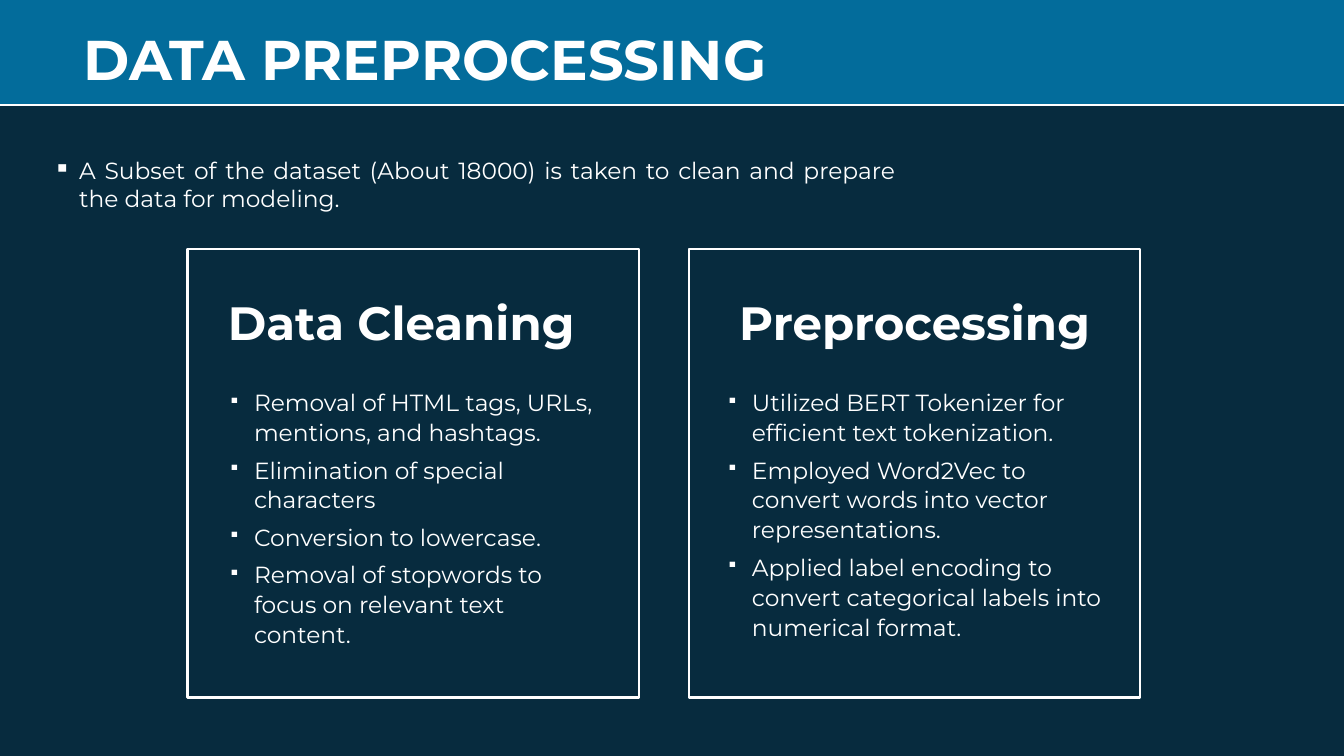
from lxml import etree
from pptx import Presentation, util as u
from pptx.dml.color import RGBColor
from pptx.enum import shapes, text
from pptx.oxml.ns import qn

PX = 9144  # EMU per px, 100 px to the inch
FONT = "Montserrat"
HUES = {"band": "036C9B", "body": "072B3E", "ink": "FFFFFF"}
JUST = text.PP_ALIGN.JUSTIFY
LEFT = text.PP_ALIGN.LEFT

INTRO = ("A Subset of the dataset (About 18000) is taken to clean and prepare "
         "the data for modeling.")
# frame left, head left, head, list left, list width, items
CARDS = [
    (279, 339, "Data Cleaning", 340, 559, [
        "Removal of HTML tags, URLs, mentions, and hashtags.",
        "Elimination of special characters",
        "Conversion to lowercase.",
        "Removal of stopwords to focus on relevant text content."]),
    (1025, 1100, "Preprocessing", 1081, 565, [
        "Utilized BERT Tokenizer for efficient text tokenization.",
        "Employed Word2Vec to convert words into vector representations.",
        "Applied label encoding to convert categorical labels into "
        "numerical format."]),
]


def hue(name):
    return RGBColor.from_string(HUES[name])


class Deck:
    def __init__(self, wide, high):
        self.prs = Presentation()
        self.prs.slide_width = wide * PX
        self.prs.slide_height = high * PX
        self.slide = None

    def page(self, back):
        self.slide = self.prs.slides.add_slide(self.prs.slide_layouts[5])
        fill = self.slide.background.fill
        fill.solid()
        fill.fore_color.rgb = hue(back)

    def rect(self, x, y, w, h, fill=None, line=None):
        box = self.slide.shapes.add_shape(
            shapes.MSO_SHAPE.RECTANGLE, x * PX, y * PX, w * PX, h * PX)
        box.shadow.inherit = False
        if fill:
            box.fill.solid()
            box.fill.fore_color.rgb = hue(fill)
        else:
            box.fill.background()
        if line:
            box.line.color.rgb = hue(line)
            box.line.width = u.Pt(2.25)
        else:
            box.line.fill.background()

    def rule(self, x, y, end):
        line = self.slide.shapes.add_connector(
            shapes.MSO_CONNECTOR.STRAIGHT, x * PX, y * PX, end * PX, y * PX)
        line.line.color.rgb = hue("ink")
        line.line.width = u.Pt(1.5)
        etree.SubElement(line._element.spPr, qn("a:effectLst"))

    def title(self, x, y, w, h, words):
        box = self.slide.shapes.title
        box.left, box.top, box.width, box.height = (n * PX for n in (x, y, w, h))
        self.style(box, [words], 60, bold=True, align=JUST)

    def text(self, x, y, w, h, lines, size, inset=0, **look):
        box = self.slide.shapes.add_textbox(x * PX, y * PX, w * PX, h * PX)
        frame = box.text_frame
        frame.margin_left = frame.margin_right = inset * PX
        frame.margin_top = frame.margin_bottom = inset * PX // 2
        self.style(box, lines, size, **look)

    def style(self, box, lines, size, bold=False, align=LEFT, lead=1.0,
              after=0, dot=None):
        """Fill a box with paragraphs; dot is the bullet size in percent."""
        frame = box.text_frame
        frame.word_wrap = True
        frame.auto_size = text.MSO_AUTO_SIZE.NONE
        frame.vertical_anchor = text.MSO_ANCHOR.TOP
        frame.text = "\n".join(lines)
        for para in frame.paragraphs:
            para.alignment = align
            para.line_spacing = lead
            para.space_after = u.Pt(after)
            if dot:
                self.bullet(para, dot)
            for run in para.runs:
                run.font.name = FONT
                run.font.size = u.Pt(size)
                run.font.bold = bold
                run.font.color.rgb = hue("ink")

    def bullet(self, para, dot):
        props = para._p.get_or_add_pPr()
        props.set("marL", str(38 * PX))
        props.set("indent", str(-38 * PX))
        tint = etree.SubElement(props, qn("a:buClr"))
        etree.SubElement(tint, qn("a:srgbClr"), val=HUES["ink"])
        etree.SubElement(props, qn("a:buSzPct"), val=str(dot * 1000))
        etree.SubElement(props, qn("a:buChar"), char="▪")


def main():
    deck = Deck(2000, 1125)
    deck.page("band")
    deck.rect(0, 157, 2000, 968, fill="body")
    deck.rule(0, 156, 2000)
    deck.title(114, 32, 1487, 111, "DATA PREPROCESSING")
    deck.text(70, 228, 1272, 94, [INTRO], 25, inset=10, align=JUST, dot=100)
    for left, start, head, edge, width, items in CARDS:
        deck.rect(left, 371, 672, 667, line="ink")
        deck.text(start, 421, 560, 101, [head], 50, bold=True, lead=1.2)
        deck.text(edge, 575, width, 405, items, 25, lead=1.07, after=8, dot=70)
    deck.prs.save("out.pptx")


if __name__ == "__main__":
    main()
